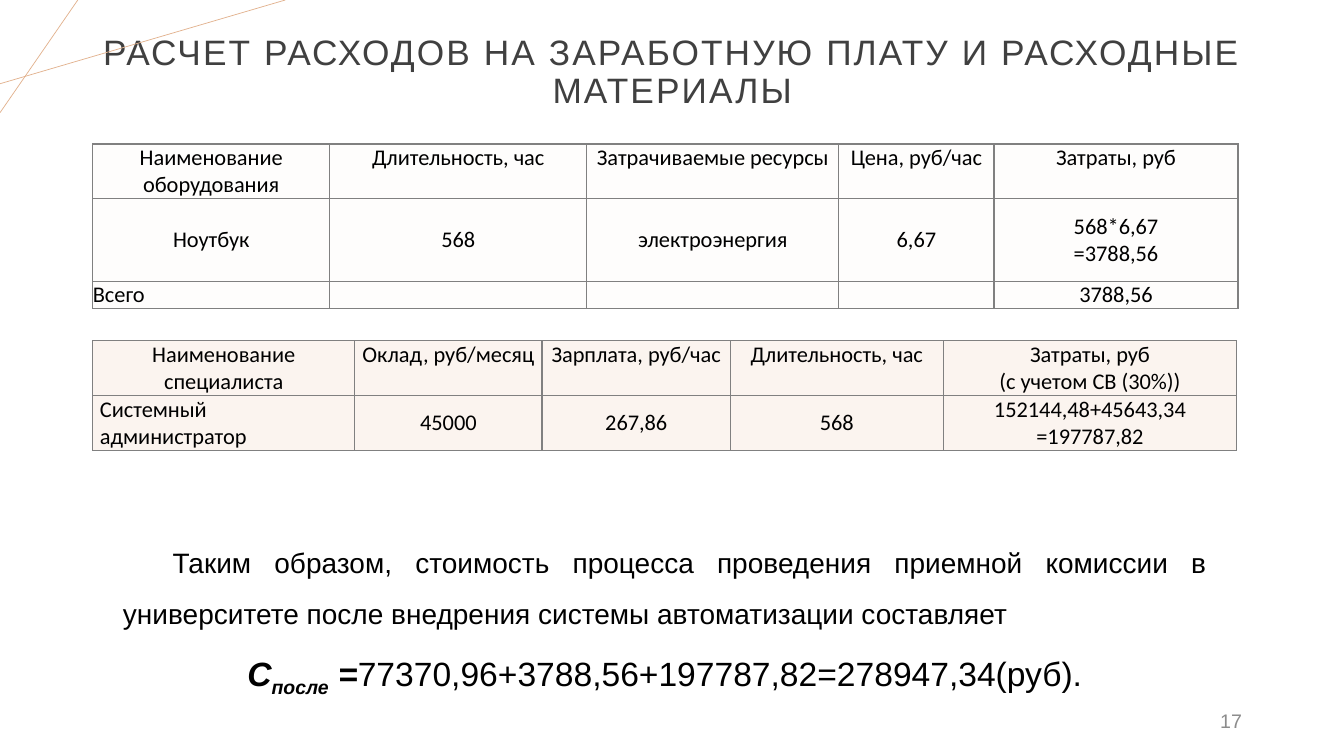
from lxml import etree
from pptx import Presentation
from pptx import util as u
from pptx.dml.color import RGBColor
from pptx.enum import shapes, text
from pptx.oxml import ns

BLACK = RGBColor(0, 0, 0)
TITLE_GREY = RGBColor(0x40, 0x40, 0x40)
NUMBER_GREY = RGBColor(0x8C, 0x8C, 0x8C)
BORDER_GREY = RGBColor(0x80, 0x80, 0x80)
LINE_ORANGE = RGBColor(0xE2, 0xB1, 0x8D)
EQUIPMENT_FILL = RGBColor(0xFE, 0xFD, 0xFC)
STAFF_FILL = RGBColor(0xFB, 0xF4, 0xEF)
LEFT, CENTER = text.PP_ALIGN.LEFT, text.PP_ALIGN.CENTER
TOP, MIDDLE = text.MSO_ANCHOR.TOP, text.MSO_ANCHOR.MIDDLE

# Content (lengths in centimetres)
TITLE = "РАСЧЕТ РАСХОДОВ НА ЗАРАБОТНУЮ ПЛАТУ И РАСХОДНЫЕ МАТЕРИАЛЫ"
PAGE_NUMBER = "17"
CONCLUSION = ("Таким образом, стоимость процесса проведения приемной комиссии "
              "в университете после внедрения системы автоматизации составляет")
FORMULA = [("C", {"bold": True, "italic": True}),
           ("после", {"bold": True, "italic": True, "baseline": -25}),
           (" =", {"bold": True, "italic": True}),
           ("77370,96+3788,56+197787,82=278947,34(руб).", {})]
TABLES = [
    {"top": 3.63, "fill": EQUIPMENT_FILL, "side_margin": 0,
     "columns": [5.97, 6.48, 6.35, 3.91, 6.15], "heights": [1.38, 2.08, 0.69],
     "rows": [["Наименование оборудования", "Длительность, час",
               "Затрачиваемые ресурсы", "Цена, руб/час", "Затраты, руб"],
              ["Ноутбук", "568", "электроэнергия", "6,67", "568*6,67\n=3788,56"],
              ["Всего", "", "", "", "3788,56"]],
     "left_cell": (2, 0)},
    {"top": 8.59, "fill": STAFF_FILL, "side_margin": 0.18,
     "columns": [6.6, 4.72, 4.75, 5.36, 7.4], "heights": [1.38, 1.38],
     "rows": [["Наименование специалиста", "Оклад, руб/месяц", "Зарплата, руб/час",
               "Длительность, час", "Затраты, руб\n(с учетом СВ (30%))"],
              ["Системный администратор", "45000", "267,86", "568",
               "152144,48+45643,34\n=197787,82"]],
     "left_cell": (1, 0)},
]
CORNER_LINES = [((0, 2.11), (7.19, 0)), ((1.96, 0), (0, 2.84))]
MARGIN_LEFT = 2.34
CONTENT_WIDTH = 28.83


def write(paragraph, content, size=16, font="Calibri", color=BLACK, align=CENTER,
          line_spacing=None, bold=False, italic=False, baseline=None, tracking=None):
    """Append one formatted run to the paragraph."""
    paragraph.alignment = align
    if line_spacing:
        paragraph.line_spacing = line_spacing
    run = paragraph.add_run()
    run.text = content
    run.font.size, run.font.name = u.Pt(size), font
    run.font.bold, run.font.italic = bold, italic
    run.font.color.rgb = color
    properties = run.font._element
    if baseline:
        properties.set("baseline", str(baseline * 1000))
    if tracking:
        properties.set("spc", str(int(tracking * 100)))


def add_borders(cell):
    properties = cell._tc.get_or_add_tcPr()
    for side in ("a:lnL", "a:lnR", "a:lnT", "a:lnB"):
        line = etree.SubElement(properties, ns.qn(side), w=str(u.Pt(1)))
        fill = etree.SubElement(line, ns.qn("a:solidFill"))
        etree.SubElement(fill, ns.qn("a:srgbClr"), val=str(BORDER_GREY))


def add_cost_table(slide, data):
    rows, columns = data["rows"], data["columns"]
    table = slide.shapes.add_table(
        len(rows), len(columns), u.Cm(MARGIN_LEFT), u.Cm(data["top"]),
        u.Cm(CONTENT_WIDTH), u.Cm(sum(data["heights"]))).table
    table.first_row = table.horz_banding = False
    for column, width in zip(table.columns, columns):
        column.width = u.Cm(width)
    for row, height in zip(table.rows, data["heights"]):
        row.height = u.Cm(height)
    for r, values in enumerate(rows):
        for c, value in enumerate(values):
            cell = table.cell(r, c)
            is_left = (r, c) == data["left_cell"]
            cell.margin_top = cell.margin_bottom = 0
            cell.margin_left = cell.margin_right = u.Cm(data["side_margin"])
            cell.vertical_anchor = TOP if r == 0 or is_left else MIDDLE
            add_borders(cell)
            cell.fill.solid()
            cell.fill.fore_color.rgb = data["fill"]
            frame = cell.text_frame
            for i, line in enumerate(value.split("\n")):
                paragraph = frame.add_paragraph() if i else frame.paragraphs[0]
                paragraph.font.size = u.Pt(16)
                if line:
                    write(paragraph, line, align=LEFT if is_left else CENTER)


def add_text_box(slide, left, top, width, height, anchor):
    frame = slide.shapes.add_textbox(u.Cm(left), u.Cm(top), u.Cm(width), u.Cm(height)).text_frame
    frame.word_wrap = True
    frame.vertical_anchor = anchor
    return frame


def main():
    presentation = Presentation()
    presentation.slide_width, presentation.slide_height = u.Cm(33.87), u.Cm(19.05)
    slide = presentation.slides.add_slide(presentation.slide_layouts[5])

    # Corner lines, behind the title
    for start, end in CORNER_LINES:
        line = slide.shapes.add_connector(
            shapes.MSO_CONNECTOR.STRAIGHT, *(u.Cm(value) for value in start + end))
        line.line.color.rgb = LINE_ORANGE
        line.line.width = u.Pt(0.5)
        etree.SubElement(line._element.spPr, ns.qn("a:effectLst"))

    # Title
    title = slide.shapes.title
    title.left, title.top, title.width, title.height = (
        u.Cm(value) for value in (MARGIN_LEFT, 0.79, 29.21, 2.11))
    title.text_frame.vertical_anchor = MIDDLE
    title.text_frame.auto_size = text.MSO_AUTO_SIZE.NONE
    write(title.text_frame.paragraphs[0], TITLE, size=25.2, font="Arial",
          color=TITLE_GREY, line_spacing=0.9, tracking=1.5)

    # Cost tables
    for data in TABLES:
        add_cost_table(slide, data)

    # Conclusion and formula
    frame = add_text_box(slide, MARGIN_LEFT, 13.21, CONTENT_WIDTH, 4.17, TOP)
    frame.margin_left = frame.margin_right = u.Cm(0.76)
    paragraph = frame.paragraphs[0]
    write(paragraph, CONCLUSION, size=20, font="Arial",
          align=text.PP_ALIGN.JUSTIFY, line_spacing=1.5)
    paragraph._p.get_or_add_pPr().set("indent", str(u.Cm(1.25)))
    paragraph = frame.add_paragraph()
    for part, style in FORMULA:
        write(paragraph, part, size=24, font="Arial", line_spacing=1.5, **style)

    # Page number
    frame = add_text_box(slide, 23.93, 17.65, 7.62, 1.02, MIDDLE)
    write(frame.paragraphs[0], PAGE_NUMBER, size=14, font="Arial",
          color=NUMBER_GREY, align=text.PP_ALIGN.RIGHT)

    presentation.save("out.pptx")


if __name__ == "__main__":
    main()
